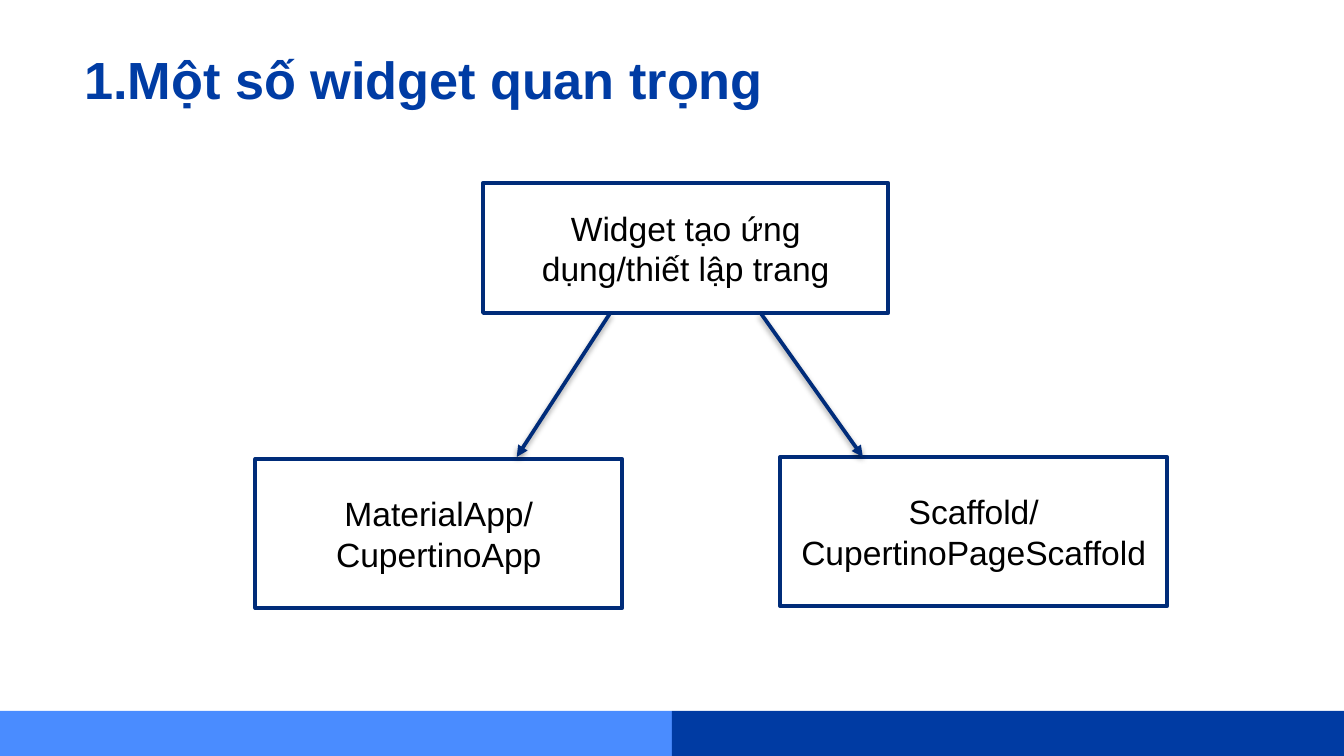
from dataclasses import dataclass

from lxml import etree
from pptx import Presentation
from pptx import util as u
from pptx.dml.color import RGBColor
from pptx.enum import shapes, text
from pptx.oxml.ns import qn

PX = u.Inches(1) // 200


@dataclass(frozen=True)
class Theme:
    font: str = "Arial"
    title_size: int = 28
    body_size: int = 18
    line_width: int = 2
    title: str = "003CA4"
    ink: str = "000000"
    paper: str = "FFFFFF"
    border: str = "002C79"
    arrow: str = "002C7A"
    footer_left: str = "4A8CFF"
    footer_right: str = "003BA3"


THEME = Theme()


def px(*lengths):
    return [length * PX for length in lengths]


def color(value):
    return RGBColor.from_string(value)


def write(shape, words, *, size, ink, bold=False, align=text.PP_ALIGN.LEFT,
          anchor=text.MSO_ANCHOR.TOP):
    frame = shape.text_frame
    frame.word_wrap = True
    frame.vertical_anchor = anchor
    paragraph = frame.paragraphs[0]
    paragraph.alignment = align
    run = paragraph.add_run()
    run.text = words
    run.font.name = THEME.font
    run.font.size = u.Pt(size)
    run.font.bold = bold
    run.font.color.rgb = color(ink)


def add_rectangle(slide, box, fill, border=None):
    shape = slide.shapes.add_shape(shapes.MSO_SHAPE.RECTANGLE, *px(*box))
    shape.shadow.inherit = False
    shape.fill.solid()
    shape.fill.fore_color.rgb = color(fill)
    if border:
        shape.line.color.rgb = color(border)
        shape.line.width = u.Pt(THEME.line_width)
    else:
        shape.line.fill.background()
    return shape


def add_node(slide, box, words):
    node = add_rectangle(slide, box, THEME.paper, THEME.border)
    write(node, words, size=THEME.body_size, ink=THEME.ink,
          align=text.PP_ALIGN.CENTER, anchor=text.MSO_ANCHOR.MIDDLE)


def add_arrow(slide, start, end):
    """Draw a straight arrow with a soft shadow below it."""
    arrow = slide.shapes.add_connector(
        shapes.MSO_CONNECTOR.STRAIGHT, *px(*start, *end))
    arrow.line.color.rgb = color(THEME.arrow)
    arrow.line.width = u.Pt(THEME.line_width)
    properties = arrow._element.spPr
    etree.SubElement(properties.find(qn("a:ln")), qn("a:tailEnd"), type="triangle")
    effects = etree.SubElement(properties, qn("a:effectLst"))
    shadow = etree.SubElement(effects, qn("a:outerShdw"), blurRad="40000",
                              dist="20000", dir="5400000", rotWithShape="0")
    shade = etree.SubElement(shadow, qn("a:srgbClr"), val=THEME.ink)
    etree.SubElement(shade, qn("a:alpha"), val="38000")


def add_footer(slide, box):
    left, top, width, height = box
    half = width // 2
    for index, fill in enumerate((THEME.footer_left, THEME.footer_right)):
        add_rectangle(slide, (left + index * half, top, half, height), fill)


def add_title(slide, box, words):
    title = slide.shapes.add_textbox(*px(*box))
    write(title, words, size=THEME.title_size, ink=THEME.title, bold=True)
    title.text_frame.auto_size = text.MSO_AUTO_SIZE.SHAPE_TO_FIT_TEXT


def add_widget_tree(slide, box):
    """Place the root widget group and its two branches inside the box."""
    left, top, _, _ = box
    nodes = (
        ((339, 0, 603, 194), "Widget tạo ứng dụng/thiết lập trang"),
        ((0, 411, 546, 222), "MaterialApp/ CupertinoApp"),
        ((781, 408, 576, 222), "Scaffold/ CupertinoPageScaffold"),
    )
    for (x, y, width, height), words in nodes:
        add_node(slide, (left + x, top + y, width, height), words)
    for start_x, end_x in ((528, 389), (752, 904)):
        add_arrow(slide, (left + start_x, top + 194), (left + end_x, top + 408))


def main():
    presentation = Presentation()
    presentation.slide_width, presentation.slide_height = px(2000, 1125)
    slide = presentation.slides.add_slide(presentation.slide_layouts[6])
    slide.background.fill.solid()
    slide.background.fill.fore_color.rgb = color(THEME.paper)
    add_footer(slide, (0, 1058, 2000, 67))
    add_title(slide, (106, 60, 1092, 114), "1.Một số widget quan trọng")
    add_widget_tree(slide, (380, 272, 1357, 633))
    presentation.save("out.pptx")


if __name__ == "__main__":
    main()
